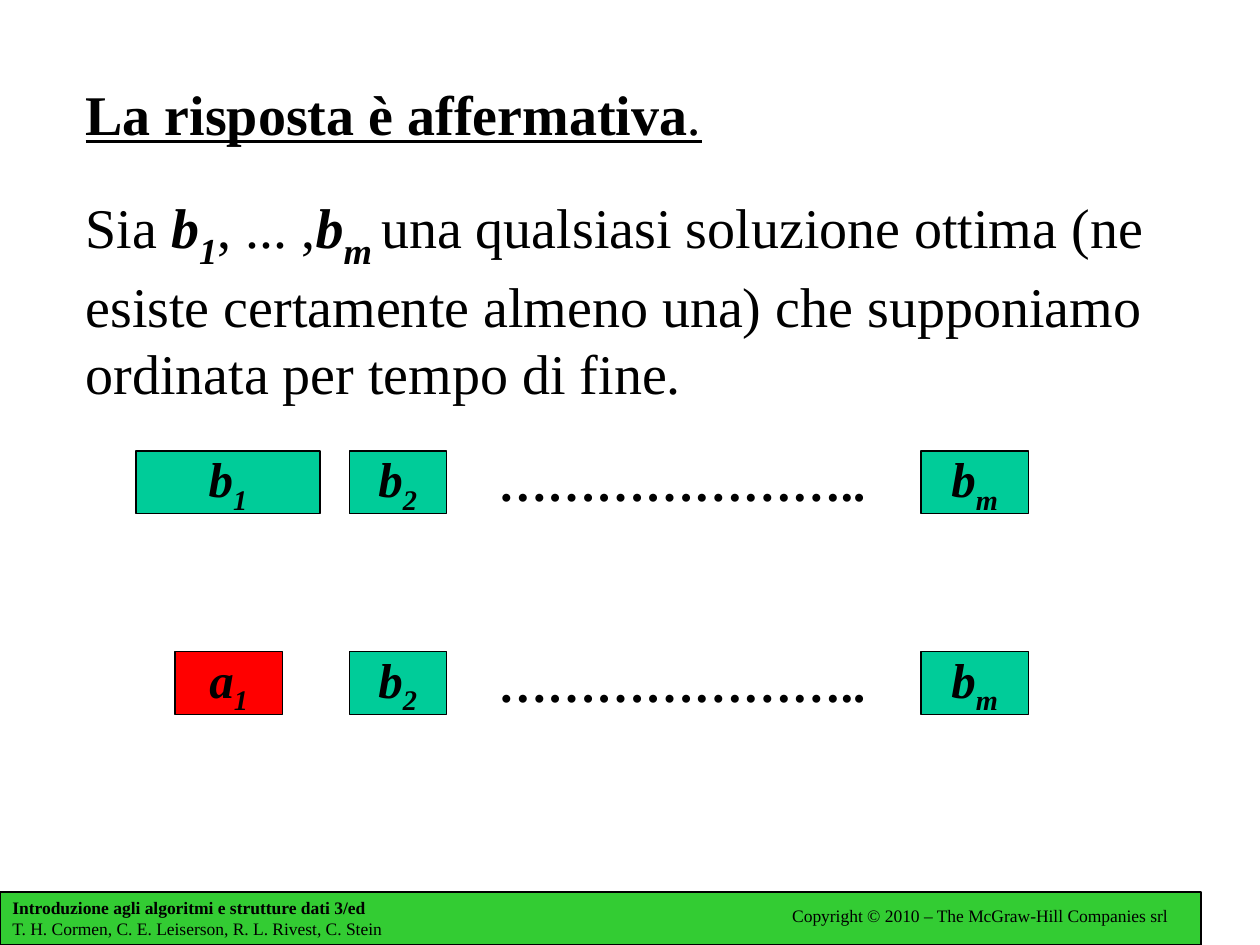
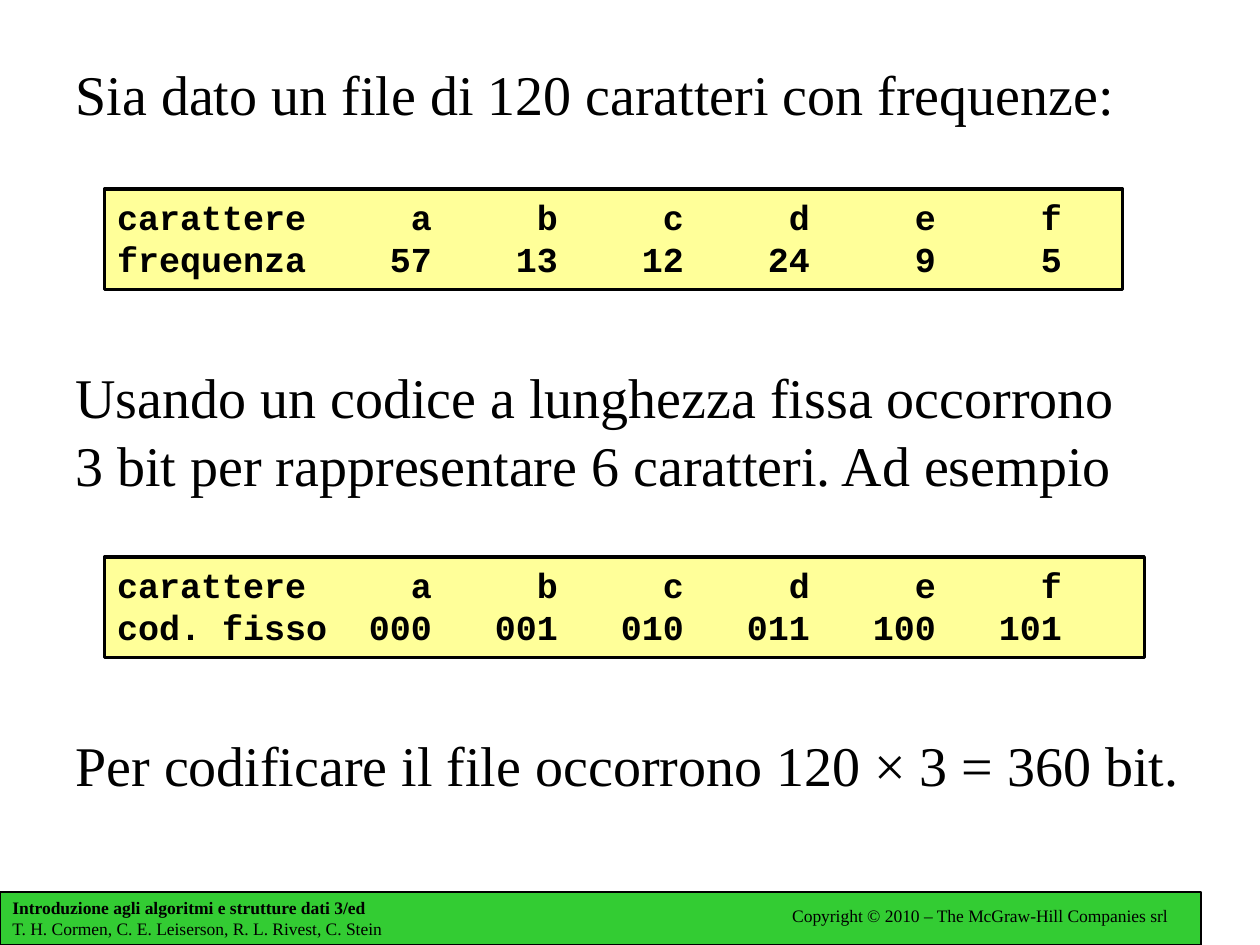
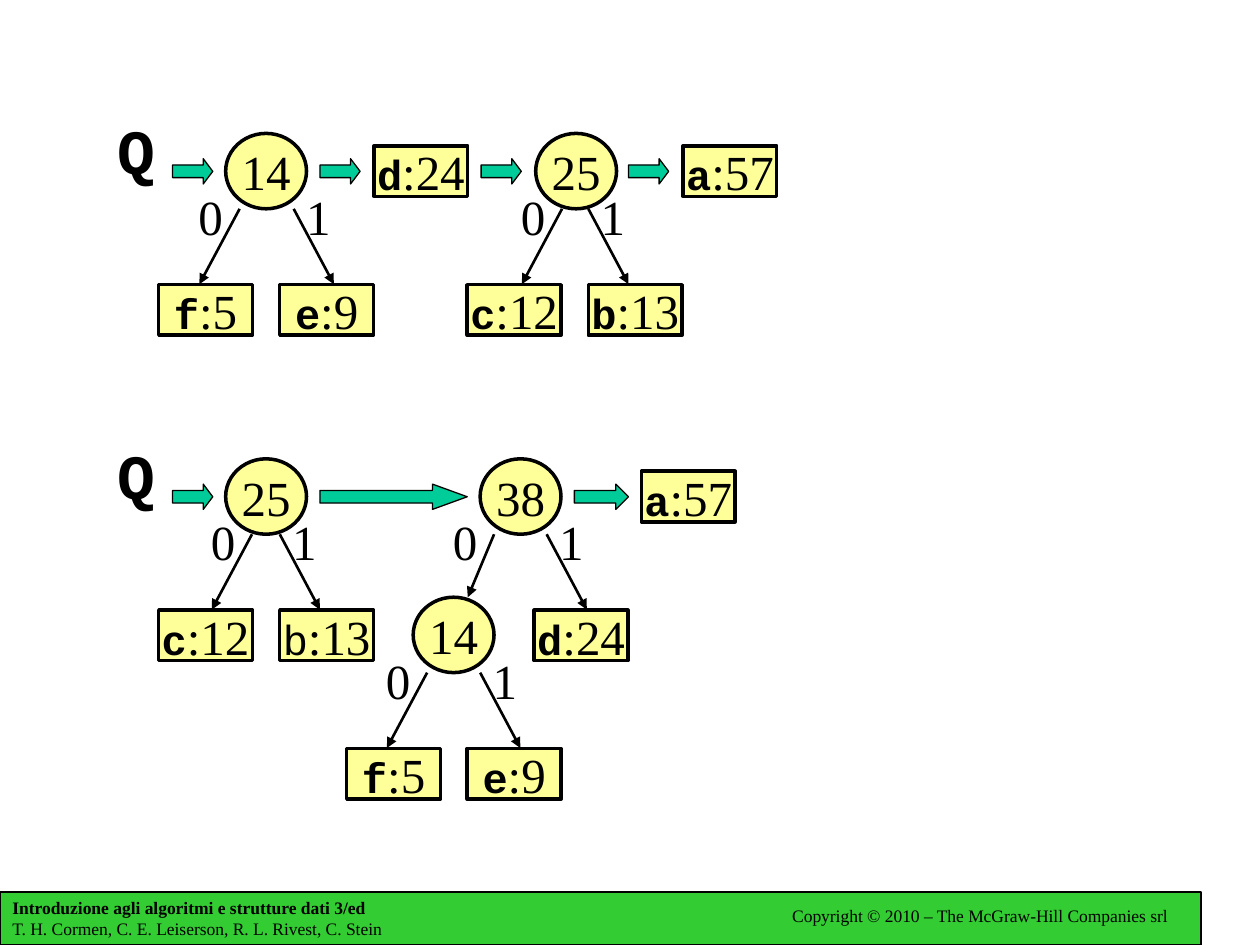
from lxml import etree
from pptx import Presentation
from pptx import util as u
from pptx.dml.color import RGBColor
from pptx.enum import shapes, text
from pptx.oxml.ns import qn

COLOURS = {"ink": "000000", "footer": "33CC33", "activity": "00CC99",
           "chosen": "FF0000", "node": "FFFF99"}
SERIF, MONO = "Times New Roman", "Courier New"
RECT, OVAL = shapes.MSO_SHAPE.RECTANGLE, shapes.MSO_SHAPE.OVAL
ARROW = shapes.MSO_SHAPE.RIGHT_ARROW
CENTER, LEFT = text.PP_ALIGN.CENTER, text.PP_ALIGN.LEFT


def write(paragraph, words, size, face=SERIF, bold=False, italic=False, underline=False, sub=False):
    run = paragraph.add_run()
    run.text = words
    run.font.name, run.font.size = face, u.Pt(size)
    run.font.bold, run.font.italic, run.font.underline = bold, italic, underline
    run.font.color.rgb = RGBColor.from_string(COLOURS["ink"])
    if sub:
        run.font._element.set("baseline", "-25000")


def block(slide, kind, x, y, w, h, fill=None, weight=0.75, align=CENTER, wrap=False,
          anchor=text.MSO_ANCHOR.MIDDLE):
    place = [u.Cm(v) for v in (x, y, w, h)]
    if kind is None:
        part = slide.shapes.add_textbox(*place)
    else:
        part = slide.shapes.add_shape(kind, *place)
        part.shadow.inherit = False
        part.fill.solid()
        part.fill.fore_color.rgb = RGBColor.from_string(COLOURS[fill])
        part.line.color.rgb = RGBColor.from_string(COLOURS["ink"])
        part.line.width = u.Pt(weight)
    part.text_frame.word_wrap = wrap
    part.text_frame.vertical_anchor = anchor
    part.text_frame.paragraphs[0].alignment = align
    return part


prs = Presentation()
prs.slide_width, prs.slide_height = u.Cm(25.4), u.Cm(19.05)
answer, fixed_code, queue = [prs.slides.add_slide(prs.slide_layouts[i]) for i in (1, 5, 6)]

# Footer, moved to the master so that every slide shows it
band = block(answer, RECT, 0, 17.98, 24.21, 1.07, "footer", align=LEFT)
credits = band.text_frame.paragraphs[0]
write(credits, "Introduzione agli algoritmi e strutture dati 3/ed", 10, bold=True)
credits.add_line_break()
write(credits, "T. H. Cormen, C. E. Leiserson, R. L. Rivest, C. Stein", 10)
rights = block(answer, None, 15.72, 18.11, 8.13, 0.69, align=LEFT, anchor=text.MSO_ANCHOR.TOP)
write(rights.text_frame.paragraphs[0], "Copyright © 2010 – The McGraw-Hill Companies srl", 10)
for number, part in enumerate((band, rights), 20):
    part._element.nvSpPr.cNvPr.set("id", str(number))
    prs.slide_master.shapes._spTree.append(part._element)

# Titles and body, moved and formatted
heading, statement = answer.shapes.title, answer.placeholders[1]
opening = fixed_code.shapes.title
for holder, x, y, w, h in ((heading, 1.47, 1.47, 23.14, 1.6),
                           (statement, 1.47, 3.61, 23.14, 4.8),
                           (opening, 1.27, 1.07, 22.02, 1.6)):
    holder.left, holder.top, holder.width, holder.height = [u.Cm(v) for v in (x, y, w, h)]
    holder.text_frame.auto_size = text.MSO_AUTO_SIZE.NONE
    holder.text_frame.vertical_anchor = text.MSO_ANCHOR.TOP
    first = holder.text_frame.paragraphs[0]
    first.alignment = LEFT
    first.space_before = u.Pt(0)

# Slide 1: the answer
write(heading.text_frame.paragraphs[0], "La risposta è affermativa", 32, bold=True, underline=True)
write(heading.text_frame.paragraphs[0], ".", 32, italic=True, underline=True)
sentence = statement.text_frame.paragraphs[0]
props = sentence._p.get_or_add_pPr()
props.set("marL", "0")
props.set("indent", "0")
etree.SubElement(props, qn("a:buNone"))
for words, symbol, index in (("Sia ", "b", "1"), (", ... ,", "b", "m ")):
    write(sentence, words, 32)
    write(sentence, symbol, 32, bold=True, italic=True)
    write(sentence, index, 36, bold=True, italic=True, sub=True)
write(sentence, "una qualsiasi soluzione ottima (ne esiste certamente almeno una) "
                "che supponiamo ordinata per tempo di fine.", 32)

# Slide 1: the optimal solution and the one with a1 in place of b1
for top, start in ((9.09, ("b", "1", 2.74, 3.71, "activity")),
                   (13.13, ("a", "1", 3.53, 2.16, "chosen"))):
    for symbol, index, x, w, fill in (start, ("b", "2", 7.04, 1.96, "activity"),
                                      ("b", "m", 18.57, 2.16, "activity")):
        activity = block(answer, RECT, x, top, w, 1.27, fill).text_frame.paragraphs[0]
        write(activity, symbol, 28, bold=True, italic=True)
        write(activity, index, 28, bold=True, italic=True, sub=True)
    dots = block(answer, None, 9.78, top, 8, 1.27)
    write(dots.text_frame.paragraphs[0], "…………………..", 28, bold=True, italic=True)

# Slide 2: sentences
write(opening.text_frame.paragraphs[0], "Sia dato un file di 120 caratteri con frequenze:", 32)
for y, w, h, words in (
        (7.19, 22.23, 2.97, "Usando un codice a lunghezza fissa occorrono 3 bit per "
                            "rappresentare 6 caratteri. Ad esempio"),
        (14.61, 22.86, 1.6, "Per codificare il file occorrono 120 × 3 = 360 bit.")):
    remark = block(fixed_code, None, 1.27, y, w, h, align=LEFT, wrap=True,
                   anchor=text.MSO_ANCHOR.TOP)
    write(remark.text_frame.paragraphs[0], words, 32)

# Slide 2: frequencies and codes, aligned on right tabs
letters = ["carattere", *"abcdef"]
for y, w, values in ((3.81, 20.52, ["frequenza", "57", "13", "12", "24", "9", "5"]),
                     (11.23, 20.96, ["cod. fisso", "000", "001", "010", "011", "100", "101"])):
    listing = block(fixed_code, RECT, 2.11, y, w, 2.03, "node", 2, wrap=True,
                    anchor=text.MSO_ANCHOR.TOP).text_frame
    for row, line in zip((letters, values), (listing.paragraphs[0], listing.add_paragraph())):
        line.alignment = LEFT
        tabs = etree.SubElement(line._p.get_or_add_pPr(), qn("a:tabLst"))
        for column in range(6):
            etree.SubElement(tabs, qn("a:tab"), pos=str(u.Cm(6.35 + 2.54 * column)), algn="r")
        write(line, "\t".join(row), 20, MONO, bold=True)

# Slide 3: the queue before and after a merge
UPPER, LOWER, INNER = 2.69, 9.25, 12.04
for top, arrows in ((UPPER, [(x, 0.81, 0.375) for x in (3.48, 6.45, 9.7, 12.67)]),
                    (LOWER, [(3.48, 0.81, 0.375), (6.45, 2.97, 1.375), (11.58, 1.09, 0.5)])):
    name = block(queue, None, 2.11, top - 0.57, 1.27, 1.78, align=LEFT)
    write(name.text_frame.paragraphs[0], "Q", 36, MONO, bold=True)
    for x, w, head in arrows:
        arrow = block(queue, ARROW, x, top + 0.51, w, 0.51, "activity")
        arrow.adjustments[0], arrow.adjustments[1] = 0.5, head

# Slide 3: inner nodes with the starts of their 0 and 1 edges
for top, x, total, starts in ((UPPER, 4.55, "14", (4.83, 5.92)),
                              (UPPER, 10.8, "25", (11.33, 11.86)),
                              (LOWER, 4.55, "25", (5.08, 5.64)),
                              (LOWER, 9.68, "38", (9.96, 11.02)),
                              (INNER, 8.33, "14", (8.61, 9.68))):
    node = block(queue, OVAL, x, top, 1.63, 1.52, "node", 2)
    write(node.text_frame.paragraphs[0], total, 28)
    for bit, start in enumerate(starts):
        to_inner = total == "38" and bit == 0
        shift, drop = (0.53, 1.27) if to_inner else (0.81, 1.52)
        end = start + shift if bit else start - shift
        edge = queue.shapes.add_connector(
            shapes.MSO_CONNECTOR.STRAIGHT, u.Cm(start), u.Cm(top + 1.52),
            u.Cm(end), u.Cm(top + 1.52 + drop))
        edge.line.color.rgb = RGBColor.from_string(COLOURS["ink"])
        edge.line.width = u.Pt(1.5)
        etree.SubElement(edge.line._get_or_add_ln(), qn("a:tailEnd"), type="triangle")
        etree.SubElement(edge._element.spPr, qn("a:effectLst"))
        label = block(queue, None, start if bit else start - 1.08, top + 0.94, 1.02, 1.45,
                      align=LEFT)
        write(label.text_frame.paragraphs[0], str(bit), 28)

# Slide 3: leaves, in the queue or below a node
IN_QUEUE, BELOW = 0.25, 3.05
for top, leaves in (
        (UPPER + IN_QUEUE, ((7.54, "d", 24), (13.77, "a", 57))),
        (UPPER + BELOW, ((3.2, "f", 5), (5.64, "e", 9), (9.42, "c", 12), (11.86, "b", 13))),
        (LOWER + IN_QUEUE, ((12.93, "a", 57),)),
        (LOWER + BELOW, ((3.2, "c", 12), (5.64, "b", 13), (10.77, "d", 24))),
        (INNER + BELOW, ((6.99, "f", 5), (9.42, "e", 9)))):
    for x, letter, frequency in leaves:
        leaf = block(queue, RECT, x, top, 1.89, 1.02, "node", 2).text_frame.paragraphs[0]
        plain = letter == "b" and top > LOWER
        write(leaf, letter, 24, MONO, bold=not plain)
        write(leaf, f":{frequency}", 28)

prs.save("out.pptx")
